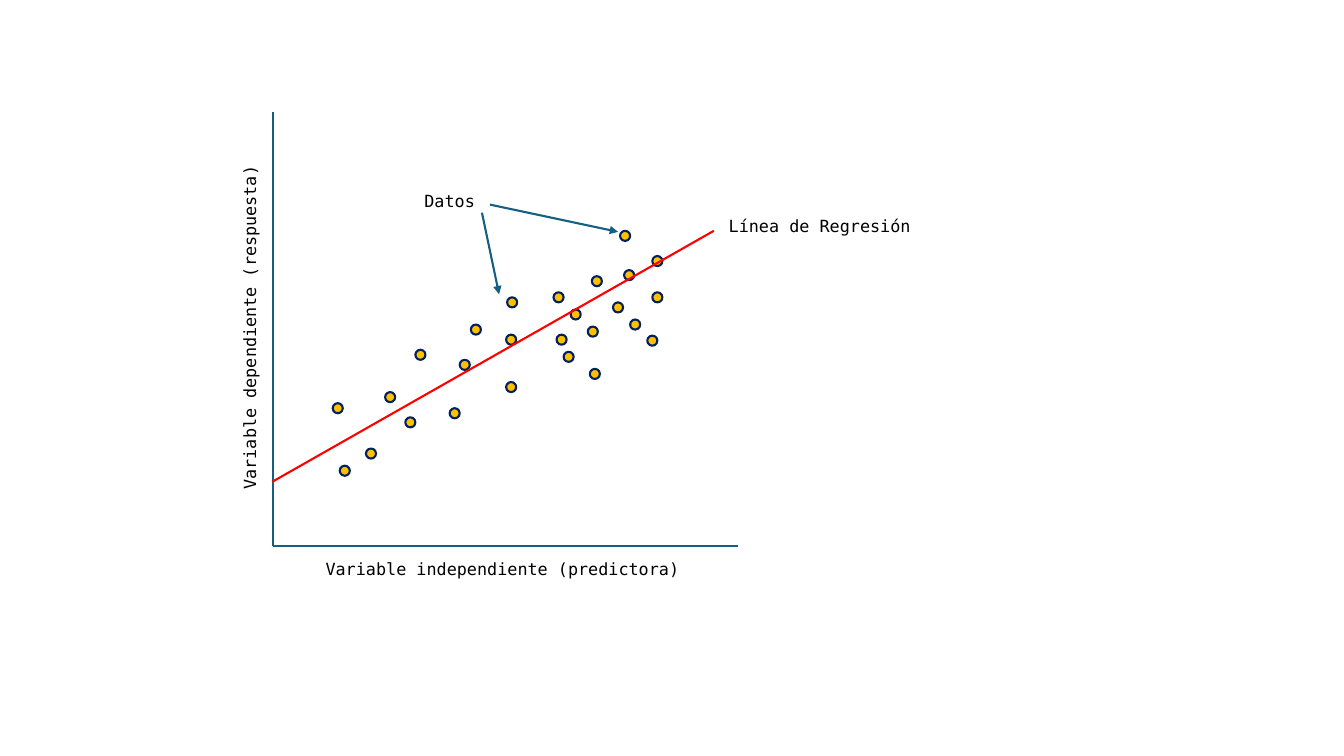
from lxml import etree
from pptx import Presentation
from pptx.dml.color import RGBColor
from pptx.enum.shapes import MSO_CONNECTOR, MSO_SHAPE
from pptx.enum.text import MSO_AUTO_SIZE, PP_ALIGN
from pptx.oxml.ns import qn
from pptx.util import Inches, Pt

STRAIGHT = MSO_CONNECTOR.STRAIGHT
OVAL = MSO_SHAPE.OVAL
GROW = MSO_AUTO_SIZE.SHAPE_TO_FIT_TEXT
CENTER = PP_ALIGN.CENTER

TEAL = RGBColor(0x15, 0x60, 0x82)
NAVY = RGBColor(0x00, 0x20, 0x60)
GOLD = RGBColor(0xFF, 0xC0, 0x00)
RED = RGBColor(0xFF, 0x00, 0x00)
BLACK = RGBColor(0x00, 0x00, 0x00)

CELL = Inches(0.1)
ORIGIN = (27.1, 54.2)
OBSERVATIONS = [
    (33.5, 40.5), (46.1, 36.2), (40.7, 41.9), (34.2, 46.7), (38.7, 39.4),
    (45.1, 41.0), (41.7, 35.2), (50.7, 38.4), (47.2, 32.7), (50.7, 33.7),
    (55.7, 33.7), (50.8, 30.0), (55.4, 29.5), (61.3, 30.5), (56.4, 35.4),
    (57.1, 31.2), (63.0, 32.2), (59.0, 37.1), (58.8, 32.9), (64.7, 33.8),
    (59.2, 27.9), (65.2, 25.9), (62.4, 27.3), (65.2, 29.5), (62.0, 23.4),
    (36.8, 45.0),
]


class RegressionDiagram:
    font = "DejaVu Sans Mono"
    font_size = Pt(12)
    stroke = Pt(1.5)
    dot_size = 1
    label_height = 3

    def __init__(self, slide):
        self.shapes = slide.shapes.add_group_shape().shapes

    def cells(self, *counts):
        return [round(count * CELL) for count in counts]

    def line(self, start, end, color, arrow=False):
        connector = self.shapes.add_connector(STRAIGHT, *self.cells(*start, *end))
        connector.line.color.rgb = color
        connector.line.width = self.stroke
        if arrow:
            outline = connector.line._get_or_add_ln()
            etree.SubElement(outline, qn("a:tailEnd"), type="triangle")
        etree.SubElement(connector._element.spPr, qn("a:effectLst"))

    def dot(self, column, row):
        radius = self.dot_size / 2
        bounds = self.cells(column - radius, row - radius, self.dot_size, self.dot_size)
        observation = self.shapes.add_shape(OVAL, *bounds)
        observation.shadow.inherit = False
        observation.fill.solid()
        observation.fill.fore_color.rgb = GOLD
        observation.line.color.rgb = NAVY
        observation.line.width = self.stroke

    def label(self, wording, column, row, width, rotation=0):
        bounds = self.cells(column, row, width, self.label_height)
        caption = self.shapes.add_textbox(*bounds)
        caption.rotation = rotation
        frame = caption.text_frame
        frame.word_wrap = True
        frame.auto_size = GROW
        paragraph = frame.paragraphs[0]
        paragraph.alignment = CENTER
        run = paragraph.add_run()
        run.text = wording
        run.font.name = self.font
        run.font.size = self.font_size
        run.font.color.rgb = BLACK


def main():
    deck = Presentation()
    deck.slide_width = Inches(13.33)
    deck.slide_height = Inches(7.5)
    diagram = RegressionDiagram(deck.slides.add_slide(deck.slide_layouts[6]))

    diagram.line((27.1, 11.1), ORIGIN, TEAL)
    diagram.line((73.2, 54.2), ORIGIN, TEAL)
    for column, row in OBSERVATIONS:
        diagram.dot(column, row)
    diagram.line((27, 47.8), (70.8, 22.9), RED)

    diagram.label("Variable independiente (predictora)", 26.5, 54.9, 46.7)
    diagram.label("Variable dependiente (respuesta)", 3.1, 31, 43.3, rotation=270)
    diagram.line((47.8, 21.1), (49.5, 29.2), TEAL, arrow=True)
    diagram.line((48.6, 20.3), (61.3, 23), TEAL, arrow=True)
    diagram.label("Datos", 40, 18.4, 9.2)
    diagram.label("Línea de Regresión", 70.7, 20.9, 21.2)

    deck.save("out.pptx")


if __name__ == "__main__":
    main()
